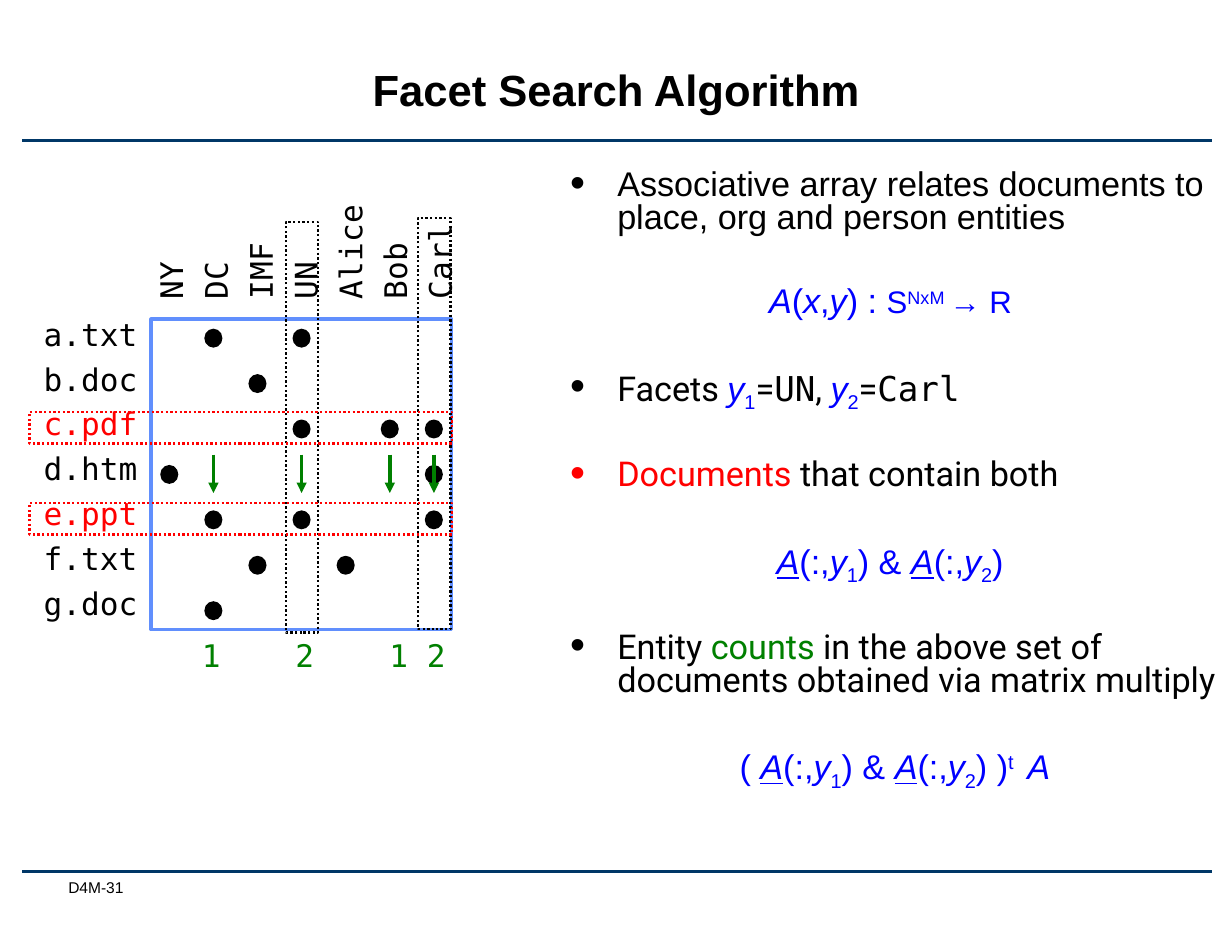
from lxml import etree
from pptx import Presentation
from pptx import util as u
from pptx.dml.color import RGBColor
from pptx.enum import dml, shapes, text
from pptx.oxml.ns import qn

Cm, Pt = u.Cm, u.Pt

COLORS = {
    "black": "000000",
    "navy": "003767",
    "frame": "618FFD",
    "red": "FF0000",
    "green": "008000",
    "blue": "0000FF",
}
SANS, BODY, MONO = "Arial", "Roboto", "DejaVu Sans Mono"
INSETS = (0.28, 0.15, 0.28, 0.15)

ENTITIES = ["NY", "DC", "IMF", "UN", "Alice", "Bob", "Carl"]
DOCUMENTS = {
    "a.txt": ["DC", "UN"],
    "b.doc": ["IMF"],
    "c.pdf": ["UN", "Bob", "Carl"],
    "d.htm": ["NY", "Carl"],
    "e.ppt": ["DC", "UN", "Carl"],
    "f.txt": ["IMF", "Alice"],
    "g.doc": ["DC"],
}
FACETS = {"UN": 5.03, "Carl": 4.95}  # entity: top of its box
MATCHES = ["c.pdf", "e.ppt"]
COUNTED = ["DC", "UN", "Bob", "Carl"]
COUNT_TABS = [0.85, 2.97, 5.1, 5.95]

# Run styles: colour, font, size, italic, underline, baseline
STYLES = {
    "intro": ("black", SANS, 22, False, False, 0),
    "body": ("black", BODY, 22, False, False, 0),
    "match": ("red", BODY, 22, False, False, 0),
    "count": ("green", BODY, 22, False, False, 0),
    "value": ("black", MONO, 22, False, False, 0),
    "math": ("blue", SANS, 22, False, False, 0),
    "var": ("blue", SANS, 22, True, False, 0),
    "array": ("blue", SANS, 22, True, True, 0),
    "sub": ("blue", SANS, 22, False, False, -25000),
    "sup": ("blue", SANS, 22, False, False, 30000),
    "set": ("blue", SANS, 20, False, False, 0),
    "power": ("blue", SANS, 20, False, False, 30000),
}
Y1 = [("y", "var"), ("1", "sub")]
Y2 = [("y", "var"), ("2", "sub")]
BOTH = [("A", "array"), ("(:,", "math"), *Y1, (") & ", "math"),
        ("A", "array"), ("(:,", "math"), *Y2]

# (is a bullet, runs)
EXPLANATION = [
    (True, [("Associative array relates documents to place, org and person "
             "entities", "intro")]),
    (False, [("A", "var"), ("(", "math"), ("x", "var"), (",", "math"),
             ("y", "var"), (") : ", "math"), ("S", "set"), ("NxM ", "power"),
             ("→ R ", "set")]),
    (True, [("Facets ", "body"), *Y1, ("=", "body"), ("UN", "value"),
            (", ", "body"), *Y2, ("=", "body"), ("Carl", "value")]),
    (True, [("Documents", "match"), (" that contain both", "body")]),
    (False, [*BOTH, (") ", "math")]),
    (True, [("Entity ", "body"), ("counts", "count"),
            (" in the above set of documents obtained via matrix multiply",
             "body")]),
    (False, [("( ", "math"), *BOTH, (") )", "math"), ("t ", "sup"),
             (" A", "var")]),
]


def rgb(name):
    return RGBColor.from_string(COLORS[name])


def column_x(entity):
    return 3.84 + 1.0 * ENTITIES.index(entity)


def row_y(document):
    return 7.67 + 1.03 * list(DOCUMENTS).index(document)


def set_font(font, color, name, size):
    font.color.rgb = rgb(color)
    font.name = name
    font.size = Pt(size)


def add_text_frame(slide, box, insets=INSETS, wrap=True):
    textbox = slide.shapes.add_textbox(*map(Cm, box))
    frame = textbox.text_frame
    frame.word_wrap = wrap
    (frame.margin_left, frame.margin_top,
     frame.margin_right, frame.margin_bottom) = map(Cm, insets)
    return textbox, frame


def add_line(slide, start, end, color, width, arrow=False):
    line = slide.shapes.add_connector(
        shapes.MSO_CONNECTOR.STRAIGHT, *map(Cm, (*start, *end)))
    line.line.color.rgb = rgb(color)
    line.line.width = Pt(width)
    properties = line._element.spPr
    if arrow:
        etree.SubElement(properties.find(qn("a:ln")), qn("a:tailEnd"),
                         type="triangle")
    etree.SubElement(properties, qn("a:effectLst"))


def add_outline(slide, box, color, width, dotted=False):
    outline = slide.shapes.add_shape(
        shapes.MSO_SHAPE.RECTANGLE, *map(Cm, box))
    outline.shadow.inherit = False
    outline.fill.background()
    outline.line.color.rgb = rgb(color)
    outline.line.width = Pt(width)
    if dotted:
        outline.line.dash_style = dml.MSO_LINE.ROUND_DOT


def add_dot(slide, x, y, width=0.41, height=0.43):
    dot = slide.shapes.add_shape(
        shapes.MSO_SHAPE.OVAL,
        *map(Cm, (x - width / 2, y - height / 2, width, height)))
    dot.shadow.inherit = False
    dot.fill.solid()
    dot.fill.fore_color.rgb = rgb("black")
    dot.line.fill.background()


def add_labels(slide, box, labels, rotation=0):
    textbox, frame = add_text_frame(slide, box, wrap=False)
    textbox.rotation = rotation
    frame.auto_size = text.MSO_AUTO_SIZE.SHAPE_TO_FIT_TEXT
    frame.text = "\n".join(labels)
    for paragraph in frame.paragraphs:
        paragraph.line_spacing = 1.2
        color = "red" if paragraph.text in MATCHES else "black"
        set_font(paragraph.runs[0].font, color, MONO, 20)


def add_counts(slide):
    _, frame = add_text_frame(slide, (3.45, 14.12, 8.26, 1.32))
    paragraph = frame.paragraphs[0]
    counts = [sum(entity in DOCUMENTS[match] for match in MATCHES)
              for entity in COUNTED]
    paragraph.text = "".join(f"\t{count}" for count in counts)
    paragraph.line_spacing = 1.2
    tabs = etree.SubElement(paragraph._p.get_or_add_pPr(), qn("a:tabLst"))
    for position in COUNT_TABS:
        etree.SubElement(tabs, qn("a:tab"), pos=str(Cm(position)), algn="l")
    for run in paragraph.runs:
        set_font(run.font, "green", MONO, 20)


def add_bullet(properties):
    etree.SubElement(properties, qn("a:buSzPct"), val="125000")
    etree.SubElement(properties, qn("a:buFont"), typeface=SANS)
    etree.SubElement(properties, qn("a:buChar"), char="•")


def add_explanation(slide):
    _, frame = add_text_frame(slide, (12.65, 3.71, 15.29, 12.95))
    for index, (bulleted, runs) in enumerate(EXPLANATION):
        paragraph = frame.add_paragraph() if index else frame.paragraphs[0]
        properties = paragraph._p.get_or_add_pPr()
        properties.set("marL", str(Cm(1.07)))
        properties.set("indent", str(-Cm(1.07)))
        if bulleted:
            add_bullet(properties)
        else:
            paragraph.alignment = text.PP_ALIGN.CENTER
        paragraph.line_spacing = 0.8
        if index:
            paragraph.space_before = Pt(33)
        for words, style in runs:
            color, name, size, italic, underline, baseline = STYLES[style]
            run = paragraph.add_run()
            run.text = words
            set_font(run.font, color, name, size)
            run.font.italic = italic
            run.font.underline = underline
            if baseline:
                run._r.get_or_add_rPr().set("baseline", str(baseline))


def add_title_and_footer(slide):
    for y in (3.18, 19.76):
        add_line(slide, (0.51, y), (27.48, y), "navy", 1.75)
    _, footer = add_text_frame(slide, (1.4, 19.91, 3.33, 0.69),
                               (0.15, 0, 0, 0))
    footer.text = "D4M-31"
    set_font(footer.paragraphs[0].runs[0].font, "black", SANS, 10)
    _, title = add_text_frame(slide, (2.87, 0.79, 22.2, 2.57))
    title.vertical_anchor = text.MSO_ANCHOR.MIDDLE
    title.text = "Facet Search Algorithm"
    heading = title.paragraphs[0]
    heading.alignment = text.PP_ALIGN.CENTER
    heading.line_spacing = Pt(30)
    set_font(heading.runs[0].font, "black", SANS, 28)
    heading.runs[0].font.bold = True


def add_array(slide):
    add_outline(slide, (3.43, 7.24, 6.81, 7.04), "frame", 2.25)
    for document, entities in DOCUMENTS.items():
        for entity in entities:
            add_dot(slide, column_x(entity), row_y(document))
    add_labels(slide, (0.71, 6.83, 2.72, 7.44), DOCUMENTS)
    add_labels(slide, (5.49, 1.98, 2.72, 7.44), ENTITIES, rotation=270)
    for entity, top in FACETS.items():
        add_outline(slide, (column_x(entity) - 0.36, top, 0.74, 9.32),
                    "black", 1.5, dotted=True)
    for match in MATCHES:
        add_outline(slide, (0.67, row_y(match) - 0.38, 9.58, 0.71),
                    "red", 1.5, dotted=True)
    for entity in COUNTED:
        x = column_x(entity)
        add_line(slide, (x, 10.31), (x, 11.18), "green", 2.25, arrow=True)
    add_counts(slide)


def main():
    presentation = Presentation()
    presentation.slide_width = Cm(27.94)
    presentation.slide_height = Cm(21.59)
    slide = presentation.slides.add_slide(presentation.slide_layouts[6])
    add_title_and_footer(slide)
    add_array(slide)
    add_explanation(slide)
    presentation.save("out.pptx")


if __name__ == "__main__":
    main()
